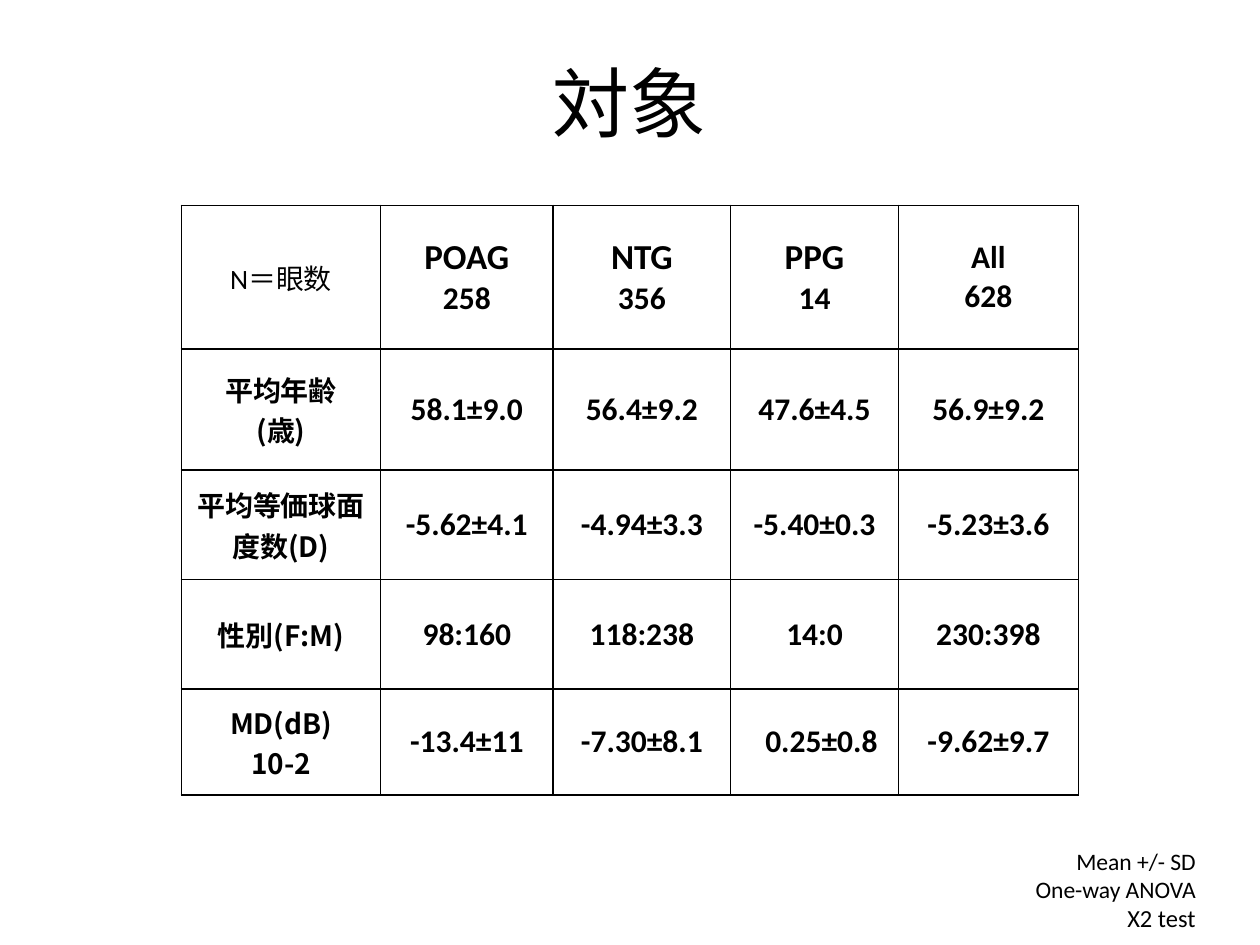
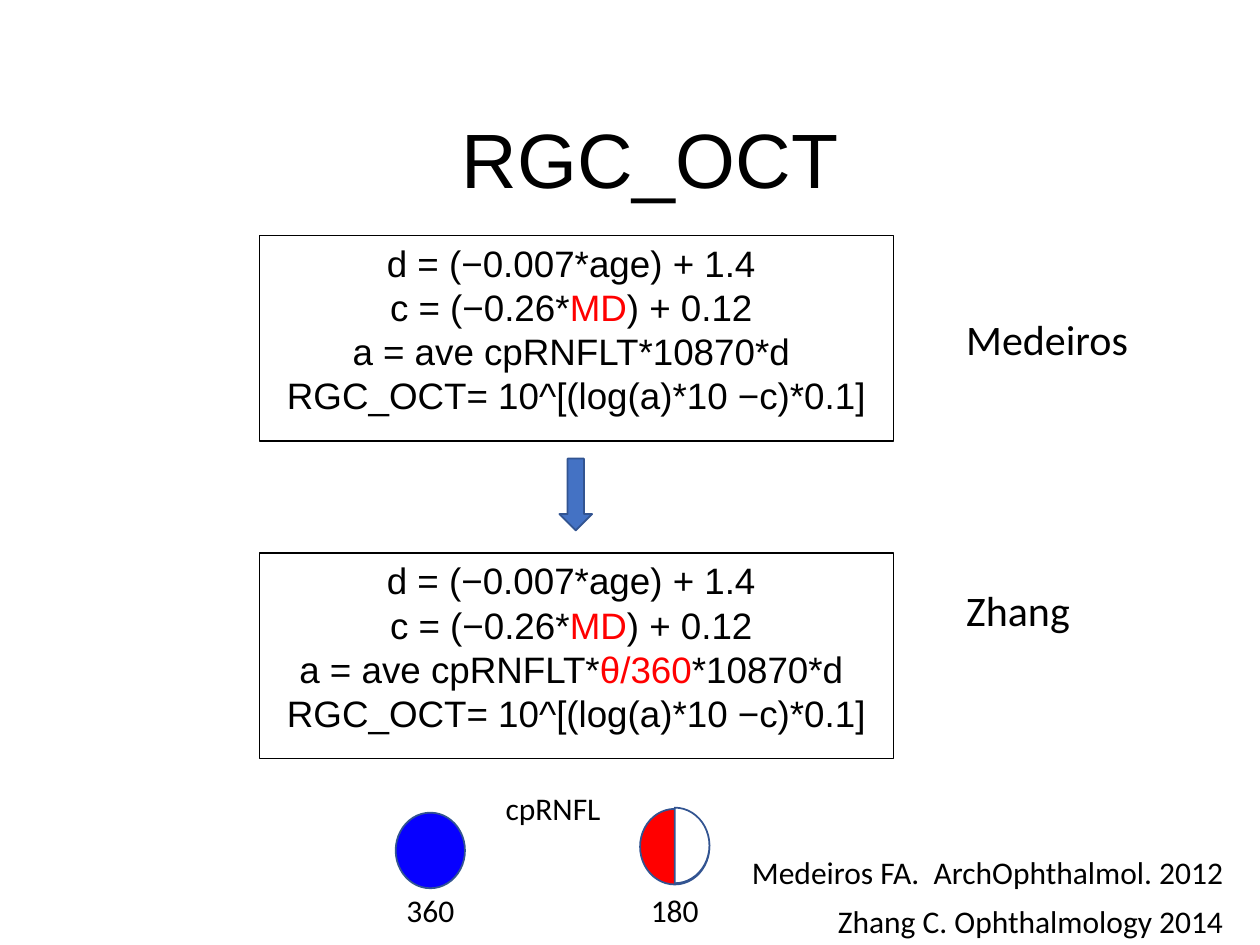
from pptx import Presentation
from pptx import util as u
from pptx.dml.color import RGBColor
from pptx.enum import shapes, text
from pptx.oxml import parse_xml
from pptx.oxml.ns import nsdecls, qn

BLACK = RGBColor(0, 0, 0)
RED = RGBColor(0xFF, 0, 0)
WHITE = RGBColor(0xFF, 0xFF, 0xFF)
DISC_BLUE = RGBColor(0x07, 0, 0xFF)
ARROW_BLUE = RGBColor(0x44, 0x72, 0xC4)
OUTLINE = RGBColor(0x32, 0x54, 0x91)
SANS, ARIAL, CJK = "Calibri", "Arial", "Noto Sans CJK JP"
LEFT, CENTER, RIGHT = (text.PP_ALIGN.LEFT, text.PP_ALIGN.CENTER,
                       text.PP_ALIGN.RIGHT)
MSO = shapes.MSO_SHAPE
TITLE_W = 8.62

# Subjects: each group has a name, a number of eyes and one value per row
CORNER = "N＝眼数"
ROW_LABELS = ["平均年齢\v(歳)", "平均等価球面度数(D)", "性別(F:M)", "MD(dB)\n10-2"]
GROUPS = [
    ("POAG", "258", ["58.1±9.0", "-5.62±4.1", "98:160", "-13.4±11"]),
    ("NTG", "356", ["56.4±9.2", "-4.94±3.3", "118:238", "-7.30±8.1"]),
    ("PPG", "14", ["47.6±4.5", "-5.40±0.3", "14:0", "0.25±0.8"]),
    ("All", "628", ["56.9±9.2", "-5.23±3.6", "230:398", "-9.62±9.7"]),
]
SHIFTED = "0.25±0.8"
COL_W = [1.58, 1.37, 1.41, 1.33, 1.43]
ROW_H = [1.14, 0.96, 0.87, 0.87, 0.84]
STATISTICS = [("Mean +/- SD", 13.5), ("One-way ANOVA", 13.5), ("X2 test", 14)]

# Formulas: each line is a list of parts, every second part is red
AREA = {"Medeiros": ["a = ave cpRNFLT*10870*d "],
        "Zhang": ["a = ave cpRNFLT*", "θ/360", "*10870*d "]}
FORMULA_TOP = {"Medeiros": 1.87, "Zhang": 4.39}
AUTHOR_AT = {"Medeiros": (7.57, 2.44, 1.5, 0.5), "Zhang": (7.57, 4.59, 1.03, 0.5)}
REFERENCES = [("Medeiros FA.  ArchOphthalmol. 2012", 6.73),
              ("Zhang C. Ophthalmology 2014", 7.12)]
DISCS = [("360", 3.14, 6.45, DISC_BLUE), ("180", 5.08, 6.42, RED)]
DISC_W, DISC_H = 0.55, 0.6


def inches(*lengths):
    return [u.Inches(n) for n in lengths]


def style(p, size, font=SANS, align=CENTER, bold=False):
    p.alignment = align
    f = p.font
    f.size, f.bold, f.name = u.Pt(size), bold, font
    f.color.rgb = BLACK
    east_asian = parse_xml(f'<a:ea {nsdecls("a")} typeface="{CJK}"/>')
    p._p.pPr.find(qn("a:defRPr")).append(east_asian)


def set_margins(box, x, y):
    box.margin_left = box.margin_right = u.Inches(x)
    box.margin_top = box.margin_bottom = u.Inches(y)


def write(tf, lines, font=SANS, align=CENTER, bold=False):
    """Fill a frame with (text, size) lines, one paragraph each."""
    for i, (words, size) in enumerate(lines):
        p = tf.add_paragraph() if i else tf.paragraphs[0]
        p.text = words
        style(p, size, font, align, bold)


def add_text(s, at, lines, align=LEFT, wrap=True, margins=(0.07, 0.04)):
    tf = s.shapes.add_textbox(*inches(*at)).text_frame
    tf.word_wrap = wrap
    set_margins(tf, *margins)
    write(tf, lines, align=align)


def add_shape(s, kind, at, fill=None, line=OUTLINE, width=1):
    sp = s.shapes.add_shape(kind, *inches(*at))
    sp.shadow.inherit = False
    if fill is None:
        sp.fill.background()
    else:
        sp.fill.solid()
        sp.fill.fore_color.rgb = fill
    sp.line.color.rgb, sp.line.width = line, u.Pt(width)
    return sp


def add_titled_slide(prs, title, at, font):
    s = prs.slides.add_slide(prs.slide_layouts[5])
    t = s.shapes.title
    t.left, t.top, t.width, t.height = inches(*at)
    tf = t.text_frame
    tf.auto_size = text.MSO_AUTO_SIZE.NONE
    tf.vertical_anchor = text.MSO_ANCHOR.MIDDLE
    write(tf, [(title, 44)], font)
    tf.paragraphs[0].line_spacing = 0.9
    return s


def add_borders(cell):
    tc_pr = cell._tc.get_or_add_tcPr()
    for i, side in enumerate(("lnL", "lnR", "lnT", "lnB")):
        tc_pr.insert(i, parse_xml(
            f'<a:{side} {nsdecls("a")} w="12700"><a:solidFill>'
            f'<a:srgbClr val="{BLACK}"/></a:solidFill></a:{side}>'))


def fill_cell(cell, lines, font=SANS, bold=True):
    cell.fill.background()
    add_borders(cell)
    cell.vertical_anchor = text.MSO_ANCHOR.MIDDLE
    set_margins(cell, 0.06, 0.06)
    write(cell.text_frame, lines, font, bold=bold)


def subjects_slide(prs):
    s = add_titled_slide(prs, "対象", (0.69, 0.4, TITLE_W, 0.91), SANS)
    frame = s.shapes.add_table(len(ROW_H), len(COL_W), *inches(
        1.44, 1.63, sum(COL_W), sum(ROW_H)))
    table = frame.table
    table.first_row = table.horz_banding = False
    for col, w in zip(table.columns, COL_W):
        col.width = u.Inches(w)
    for row, h in zip(table.rows, ROW_H):
        row.height = u.Inches(h)

    fill_cell(table.cell(0, 0), [(CORNER, 16)], bold=False)
    for r, label in enumerate(ROW_LABELS, 1):
        fill_cell(table.cell(r, 0), [(n, 16) for n in label.split("\n")], CJK)
    for c, (name, eyes, values) in enumerate(GROUPS, 1):
        name_size = 18 if name == "All" else 20
        fill_cell(table.cell(0, c), [(name, name_size), (eyes, 18)])
        for r, value in enumerate(values, 1):
            cell = table.cell(r, c)
            fill_cell(cell, [(value, 18)])
            if value == SHIFTED:
                cell.margin_left = u.Inches(0.17)
    add_text(s, (6.81, 6.65, 2.75, 0.85), STATISTICS, RIGHT,
             margins=(0.07, 0.07))


def add_formulas(s, author):
    sp = add_shape(s, MSO.RECTANGLE, (2.06, FORMULA_TOP[author], 5.03, 1.63),
                   line=BLACK, width=0.75)
    tf = sp.text_frame
    tf.vertical_anchor = text.MSO_ANCHOR.TOP
    set_margins(tf, 0.07, 0.04)
    lines = [["d = (−0.007*age) + 1.4 "],
             ["c = (−0.26*", "MD", ") + 0.12 "],
             AREA[author],
             ["RGC_OCT= 10^[(log(a)*10 −c)*0.1]"]]
    for i, parts in enumerate(lines):
        p = tf.add_paragraph() if i else tf.paragraphs[0]
        style(p, 21, ARIAL)
        for j, part in enumerate(parts):
            r = p.add_run()
            r.text = part
            r.font.color.rgb = RED if j % 2 else BLACK
    add_text(s, AUTHOR_AT[author], [(author, 24)], wrap=False,
             margins=(0.1, 0.05))


def formulas_slide(prs):
    s = add_titled_slide(prs, "RGC_OCT", (0.85, 0.57, TITLE_W, 1.45), ARIAL)
    for author in AREA:
        add_formulas(s, author)
    add_shape(s, MSO.DOWN_ARROW, (4.44, 3.64, 0.26, 0.57), ARROW_BLUE)

    add_text(s, (3.91, 6.21, 0.96, 0.4), [("cpRNFL", 18)], CENTER, False,
             (0.1, 0.05))
    for degrees, x, y, color in DISCS:
        add_shape(s, MSO.OVAL, (x, y, DISC_W, DISC_H), color)
        add_text(s, (x - 0.02, 7.02, 0.59, 0.4), [(degrees, 18)], CENTER,
                 False, (0.1, 0.05))
    half = add_shape(s, MSO.PIE, (x, y - 0.01, DISC_W, DISC_H), WHITE)
    # Angles in 60000ths of a degree, divided by 100000: 90 and 270 degrees
    half.adjustments[0], half.adjustments[1] = 54, 162
    half.rotation = 180

    for reference, y in REFERENCES:
        add_text(s, (5.72, y, 4.06, 0.38), [(reference, 18)], RIGHT)


def main():
    prs = Presentation()
    prs.slide_width, prs.slide_height = inches(10, 7.5)
    subjects_slide(prs)
    formulas_slide(prs)
    prs.save("out.pptx")


if __name__ == "__main__":
    main()
